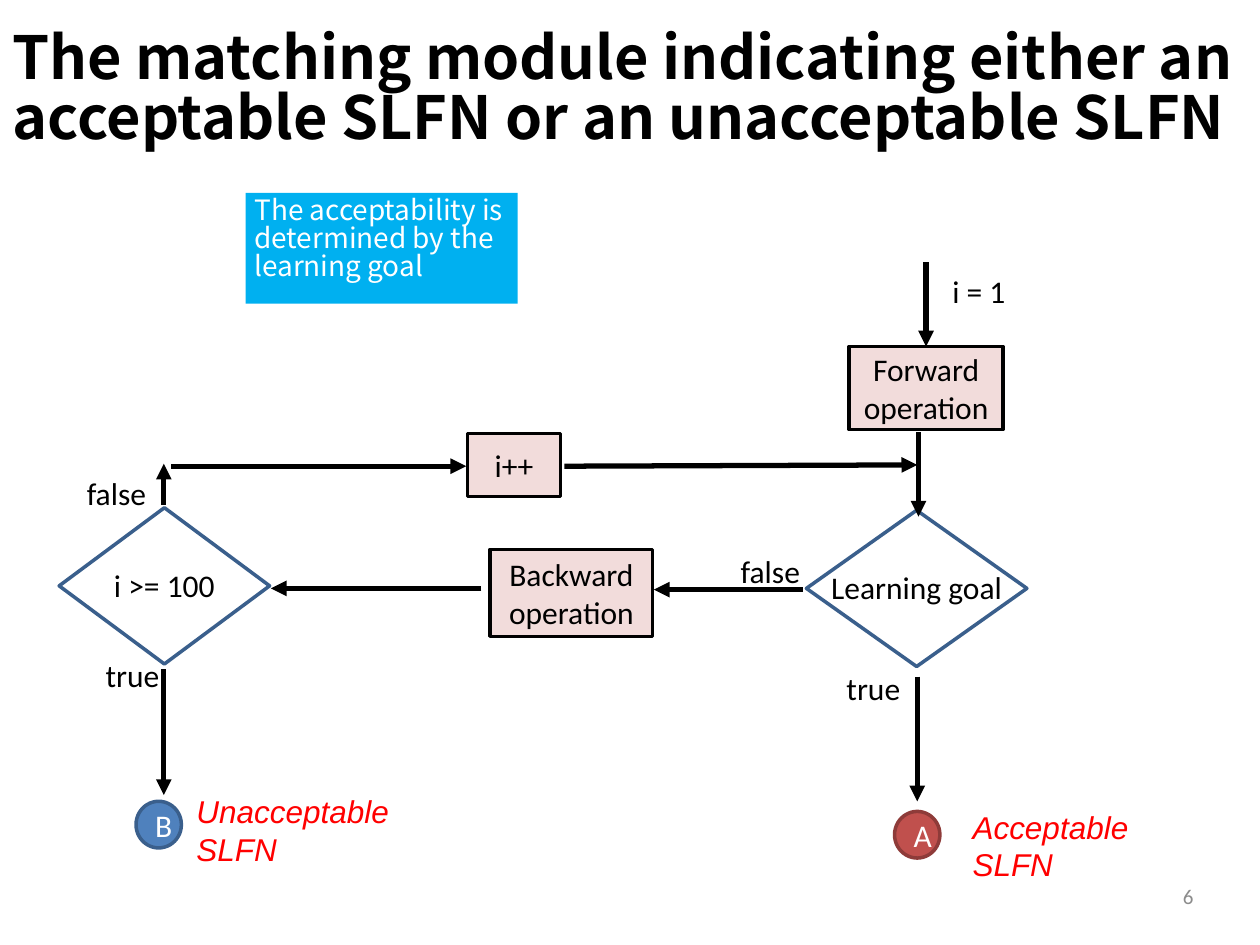
from lxml import etree
from pptx import Presentation
from pptx.dml.color import RGBColor
from pptx.enum.shapes import MSO_CONNECTOR, MSO_SHAPE
from pptx.enum.text import MSO_ANCHOR, PP_ALIGN
from pptx.oxml.ns import qn
from pptx.util import Inches, Pt

LEFT, MID, RIGHT = PP_ALIGN.LEFT, PP_ALIGN.CENTER, PP_ALIGN.RIGHT
TOP, MIDDLE = MSO_ANCHOR.TOP, MSO_ANCHOR.MIDDLE
BOX, OVAL = MSO_SHAPE.ROUNDED_RECTANGLE, MSO_SHAPE.OVAL
DIAMOND, RECT = MSO_SHAPE.DIAMOND, MSO_SHAPE.RECTANGLE
STRAIGHT = MSO_CONNECTOR.STRAIGHT

HUES = {
    "black": "000000", "white": "FFFFFF", "gray": "8C8C8C", "alert": "FF0000",
    "pink": "F2DCDB", "sky": "00B0F0", "blue": "4F81BD", "navy": "3A5F8C",
    "red": "C0504D", "wine": "8E3B39",
}

deck = Presentation()
deck.slide_width, deck.slide_height = Inches(10), Inches(7.5)
slide = deck.slides.add_slide(deck.slide_layouts[5])
cell = deck.slide_width // 100


def grid(*spots):
    return [round(spot * cell) for spot in spots]


def write(frame, text, size=18, font="Calibri", hue="black", align=LEFT,
          anchor=TOP, bold=False, slant=False, space=None):
    frame.text = text
    frame.word_wrap = True
    frame.vertical_anchor = anchor
    for para in frame.paragraphs:
        para.alignment = align
        para.line_spacing = space
        for run in para.runs:
            run.font.size, run.font.name = Pt(size), font
            run.font.bold, run.font.italic = bold, slant
            run.font.color.rgb = RGBColor.from_string(HUES[hue])


title = slide.shapes.title
title.left, title.top, title.width, title.height = grid(0, 0, 100, 14.5)
write(title.text_frame,
      "The matching module indicating either an acceptable SLFN or an unacceptable SLFN",
      34, "Noto Sans CJK SC", anchor=MIDDLE, bold=True, space=0.84)

nodes = [
    (DIAMOND, "Learning goal", (64, 40.5, 17.5, 12.4), "white", "navy", "black"),
    (DIAMOND, "i >= 100", (4.7, 40.3, 16.7, 12.4), "white", "navy", "black"),
    (BOX, "Forward\noperation", (67.4, 27.5, 12.2, 6.6), "pink", "black", "black"),
    (BOX, "i++", (37.1, 34.4, 7.4, 5), "pink", "black", "black"),
    (BOX, "Backward operation", (38.9, 43.6, 12.9, 6.9), "pink", "black", "black"),
    (OVAL, "A", (71, 64.4, 3.6, 3.7), "red", "wine", "white"),
    (OVAL, "B", (10.8, 63.6, 3.6, 3.7), "blue", "navy", "white"),
    (RECT, "The acceptability is determined by the learning goal",
     (19.5, 15.3, 21.6, 8.8), "sky", None, "white"),
]
for kind, text, spot, fill, edge, hue in nodes:
    node = slide.shapes.add_shape(kind, *grid(*spot))
    node.shadow.inherit = False
    node.fill.solid()
    node.fill.fore_color.rgb = RGBColor.from_string(HUES[fill])
    frame = node.text_frame
    if edge:
        node.line.color.rgb = RGBColor.from_string(HUES[edge])
        node.line.width = Pt(2)
        write(frame, text, hue=hue, align=MID, anchor=MIDDLE)
    else:
        node.line.fill.background()
        write(frame, text, 16, "Noto Sans CJK TC", hue, space=0.84)
        frame.margin_left, frame.margin_top = frame.margin_right, frame.margin_bottom = grid(0.7, 0.4)
    if kind == BOX:
        node.adjustments[0] = 0
    if kind == DIAMOND:
        frame.word_wrap = False
        frame.margin_left = frame.margin_right = frame.margin_top = grid(0.3)[0]
        frame.margin_bottom = grid(0.5)[0]

arrows = [
    (73.5, 20.8, 73.5, 27.5),
    (72.9, 34.3, 72.9, 41),
    (72.8, 53.7, 72.8, 63.6),
    (63.7, 46.8, 51.9, 46.8),
    (38.2, 46.7, 21.5, 46.7),
    (13, 40.1, 13, 36.8),
    (13, 53.1, 13, 63.1),
    (13.6, 37, 37, 37),
    (44.8, 37, 72.8, 36.9),
]
for ends in arrows:
    arrow = slide.shapes.add_connector(STRAIGHT, *grid(*ends))
    arrow.line.color.rgb = RGBColor.from_string(HUES["black"])
    arrow.line.width = Pt(3)
    etree.SubElement(arrow.line._get_or_add_ln(), qn("a:tailEnd"), type="triangle")
    etree.SubElement(arrow._element.spPr, qn("a:effectLst"))

plain = {}
ending = {"font": "Arial", "hue": "alert", "slant": True}
number = {"size": 12, "hue": "gray", "align": RIGHT, "anchor": MIDDLE}
labels = [
    ("i = 1", (74.6, 21.1, 6.6, 4), plain),
    ("false", (57.8, 43.3, 8.1, 4), plain),
    ("true", (66.2, 52.6, 7, 4), plain),
    ("false", (5.9, 37.1, 8.5, 4), plain),
    ("true", (7.4, 51.6, 7, 4), plain),
    ("Acceptable SLFN", (76.2, 63.6, 15.5, 7.1), ending),
    ("Unacceptable SLFN", (14.6, 62.4, 17.9, 7.1), ending),
    ("6", (73.2, 69.1, 22.5, 4), number),
]
for text, spot, look in labels:
    label = slide.shapes.add_textbox(*grid(*spot))
    write(label.text_frame, text, **look)

deck.save("out.pptx")
